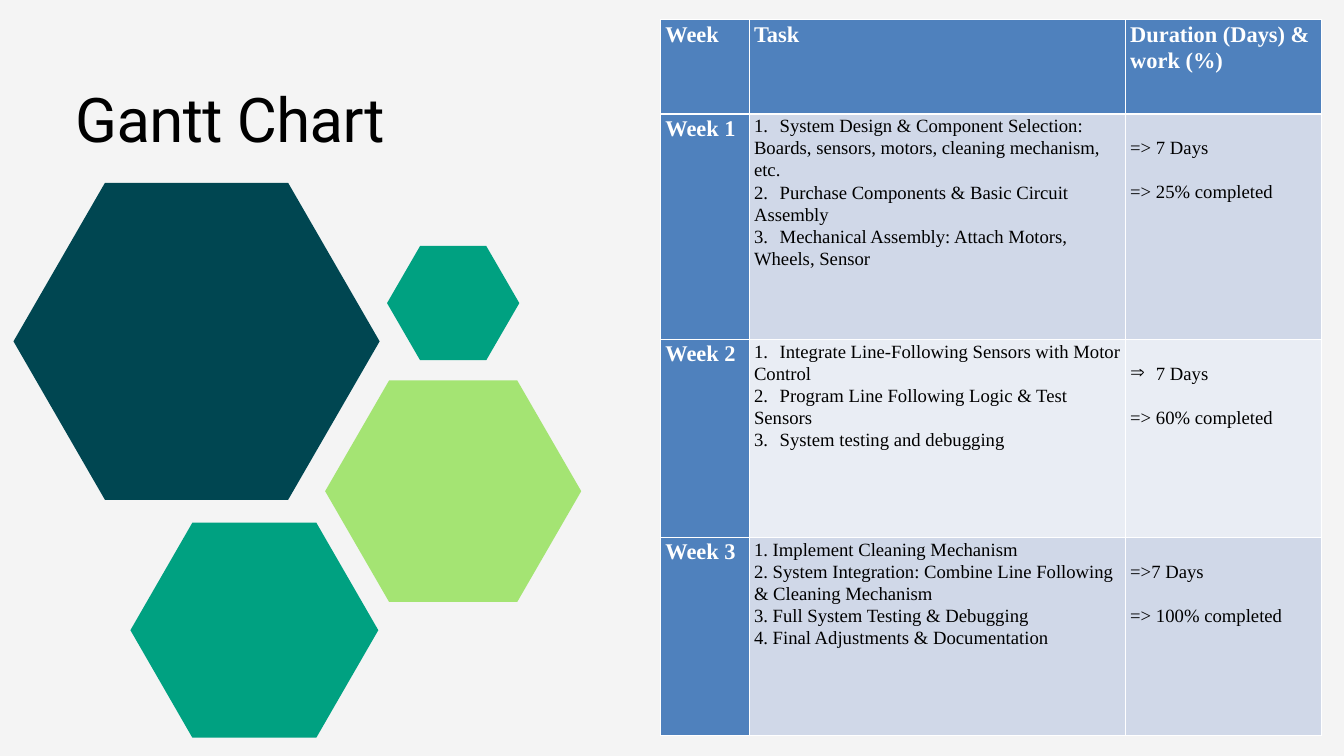
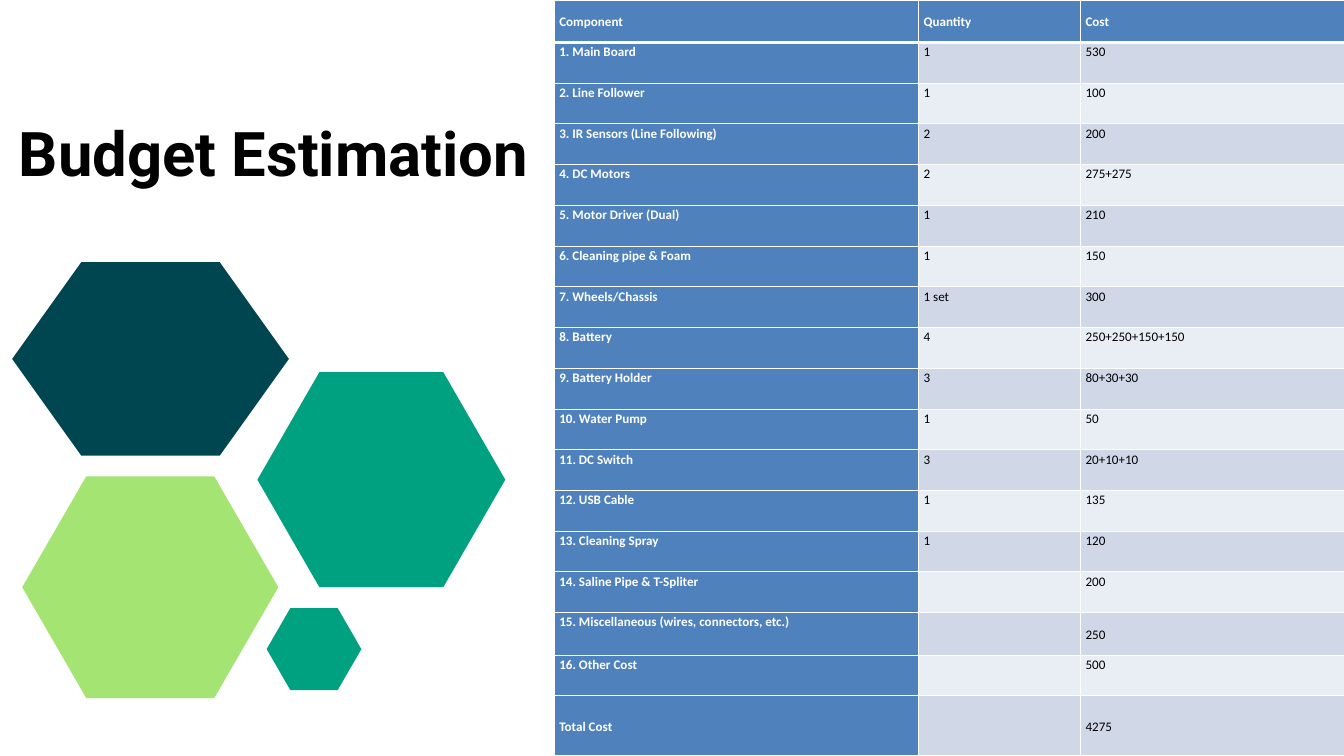
from lxml.etree import SubElement
from pptx import Presentation
from pptx.dml.color import RGBColor
from pptx.enum.shapes import MSO_SHAPE as Shape
from pptx.enum.text import MSO_ANCHOR as Anchor, MSO_AUTO_SIZE as AutoSize
from pptx.oxml.ns import qn
from pptx.util import Cm, Pt

BLACK = RGBColor(0x00, 0x00, 0x00)
WHITE = RGBColor(0xFF, 0xFF, 0xFF)
PALE_GREY = RGBColor(0xF4, 0xF4, 0xF4)
PETROL = RGBColor(0x00, 0x46, 0x51)
TEAL = RGBColor(0x00, 0xA1, 0x81)
LIME = RGBColor(0xA4, 0xE4, 0x73)
HEAD_BLUE = RGBColor(0x4F, 0x81, 0xBD)
BANDS = (RGBColor(0xE9, 0xED, 0xF4), RGBColor(0xD0, 0xD8, 0xE8))

TITLE_FONT = "Roboto"
LINE_SPACING = 1.07
BLANK_LINE = Pt(23.6)
LIST_INDENT = Cm(0.97)
LIME_SIZE = (9.68, 8.38)
TEAL_SIZE = (9.37, 8.13)

SCHEDULE = [
    ["Week", "Task", "Duration (Days) & work (%)"],
    ["Week 1",
     [(1, "System Design & Component Selection:"),
      "Boards, sensors, motors, cleaning mechanism, etc.",
      (2, "Purchase Components & Basic Circuit"),
      "Assembly",
      (3, "Mechanical Assembly: Attach Motors,"),
      "Wheels, Sensor"],
     ["=> 7 Days", "=> 25% completed"]],
    ["Week 2",
     [(1, "Integrate Line-Following Sensors with Motor"),
      "Control",
      (2, "Program Line Following Logic & Test"),
      "Sensors",
      (3, "System testing and debugging")],
     [("⇒", "7 Days"), "=> 60% completed"]],
    ["Week 3",
     ["1. Implement Cleaning Mechanism",
      "2. System Integration: Combine Line Following",
      "& Cleaning Mechanism",
      "3. Full System Testing & Debugging",
      "4. Final Adjustments & Documentation"],
     ["=>7 Days", "=> 100% completed"]],
]

BUDGET = [
    ["Component", "Quantity", "Cost"],
    ["1. Main Board", "1", "530"],
    ["2. Line Follower", "1", "100"],
    ["3. IR Sensors (Line Following)", "2", "200"],
    ["4. DC Motors", "2", "275+275"],
    ["5. Motor Driver (Dual)", "1", "210"],
    ["6. Cleaning pipe & Foam", "1", "150"],
    ["7. Wheels/Chassis", "1 set", "300"],
    ["8. Battery", "4", "250+250+150+150"],
    ["9. Battery Holder", "3", "80+30+30"],
    ["10. Water Pump", "1", "50"],
    ["11. DC Switch", "3", "20+10+10"],
    ["12. USB Cable", "1", "135"],
    ["13. Cleaning Spray", "1", "120"],
    ["14. Saline Pipe & T-Spliter", "", "200"],
    ["15. Miscellaneous (wires, connectors, etc.)", "", "250"],
    ["16. Other Cost", "", "500"],
    ["Total Cost", "", "4275"],
]


class Deck:
    def __init__(self):
        self.show = Presentation()
        self.show.slide_width = Cm(50.8)
        self.show.slide_height = Cm(28.58)
        self.page = None

    def new_page(self, background):
        self.page = self.show.slides.add_slide(self.show.slide_layouts[6])
        fill = self.page.background.fill
        fill.solid()
        fill.fore_color.rgb = background

    def style(self, para, font, size, color, bold=False):
        for span in para.runs:
            span.font.name = font
            span.font.size = Pt(size)
            span.font.bold = bold
            span.font.color.rgb = color

    def title(self, text, left, top, width, height, bold=False, spacing=1.0, tracking=0):
        box = self.page.shapes.add_textbox(Cm(left), Cm(top), Cm(width), Cm(height))
        frame = box.text_frame
        frame.text = text
        frame.word_wrap = True
        frame.auto_size = AutoSize.SHAPE_TO_FIT_TEXT
        frame.margin_left = frame.margin_right = 0
        frame.margin_top = frame.margin_bottom = 0
        para = frame.paragraphs[0]
        para.line_spacing = spacing
        self.style(para, TITLE_FONT, 66, BLACK, bold)
        if tracking:
            para.runs[0]._r.get_or_add_rPr().set("spc", str(tracking))

    def hexagon(self, color, left, top, width, height):
        shape = self.page.shapes.add_shape(
            Shape.HEXAGON, Cm(left), Cm(top), Cm(width), Cm(height))
        shape.adjustments[0] = 0.25 * width / height
        shape.shadow.inherit = False
        shape.fill.solid()
        shape.fill.fore_color.rgb = color
        shape.line.fill.background()

    def bullet(self, para, mark):
        props = para._p.get_or_add_pPr()
        props.set("marL", str(LIST_INDENT))
        props.set("indent", str(-LIST_INDENT))
        if isinstance(mark, int):
            SubElement(props, qn("a:buAutoNum"), type="arabicPeriod", startAt=str(mark))
        else:
            SubElement(props, qn("a:buChar"), char=mark)

    def borders(self, cell, row):
        props = cell._tc.get_or_add_tcPr()
        widths = {"L": 1, "R": 1, "T": 3 if row == 1 else 1, "B": 3 if row == 0 else 1}
        for side, width in widths.items():
            line = SubElement(props, qn(f"a:ln{side}"), w=str(Pt(width)))
            fill = SubElement(line, qn("a:solidFill"))
            SubElement(fill, qn("a:srgbClr"), val=str(WHITE))

    def write_cell(self, cell, content, font, size, color, bold, spaced):
        lines = content if isinstance(content, list) else [content]
        frame = cell.text_frame
        for index, line in enumerate(lines):
            para = frame.add_paragraph() if index else frame.paragraphs[0]
            if isinstance(line, tuple):
                mark, line = line
                self.bullet(para, mark)
            para.text = line
            para.line_spacing = LINE_SPACING
            if spaced and index:
                para.space_before = BLANK_LINE
            self.style(para, font, size, color, bold)
        cell.margin_left = cell.margin_right = Cm(0.18)
        cell.margin_top = Cm(0.03) + (BLANK_LINE if spaced else 0)
        cell.margin_bottom = 0

    def table(self, rows, left, top, widths, heights, font, head_size, body_size, middle=()):
        table = self.page.shapes.add_table(
            len(rows), len(widths), Cm(left), Cm(top),
            Cm(sum(widths)), Cm(sum(heights))).table
        table.first_col = True
        for column, width in zip(table.columns, widths):
            column.width = Cm(width)
        for table_row, height in zip(table.rows, heights):
            table_row.height = Cm(height)
        for row, contents in enumerate(rows):
            for col, content in enumerate(contents):
                cell = table.cell(row, col)
                heading = row == 0 or col == 0
                spaced = isinstance(content, list) and col == 2
                self.write_cell(cell, content, font,
                                head_size if heading else body_size,
                                WHITE if heading else BLACK, heading, spaced)
                if (row, col) in middle:
                    cell.vertical_anchor = Anchor.MIDDLE
                self.borders(cell, row)
                cell.fill.solid()
                cell.fill.fore_color.rgb = HEAD_BLUE if heading else BANDS[row % 2]


def schedule_page(deck):
    deck.new_page(PALE_GREY)
    deck.title("Gantt Chart", 2.84, 3.48, 14.27, 4.75, spacing=Pt(67.8), tracking=-60)
    deck.hexagon(PETROL, 0.51, 6.91, 13.84, 11.99)
    deck.hexagon(LIME, 12.29, 14.38, *LIME_SIZE)
    deck.hexagon(TEAL, 14.63, 9.3, 5, 4.32)
    deck.hexagon(TEAL, 4.93, 19.76, *TEAL_SIZE)
    deck.table(SCHEDULE, 24.97, 0.74, [3.35, 14.22, 7.42], [3.56, 8.53, 7.49, 7.49],
               "Times New Roman", 24, 20)


def budget_page(deck):
    deck.new_page(WHITE)
    deck.hexagon(LIME, 0.84, 18.01, *LIME_SIZE)
    deck.hexagon(TEAL, 9.73, 14.07, *TEAL_SIZE)
    deck.hexagon(TEAL, 10.08, 22.99, 3.58, 3.1)
    heights = [1.6] + [1.54] * 14 + [1.6, 1.54, 2.27]
    total = len(BUDGET) - 1
    middle = [(row, col) for row in (0, total) for col in range(3)] + [(15, 2)]
    deck.table(BUDGET, 20.96, 0, [13.77, 6.12, 9.95], heights, "Calibri", 14, 14, middle)
    deck.title("Budget Estimation", 0.71, 4.35, 24.94, 2.82, bold=True)
    deck.hexagon(PETROL, 0.46, 9.91, 10.46, 7.32)


def main():
    deck = Deck()
    schedule_page(deck)
    budget_page(deck)
    deck.show.save("out.pptx")


if __name__ == "__main__":
    main()
